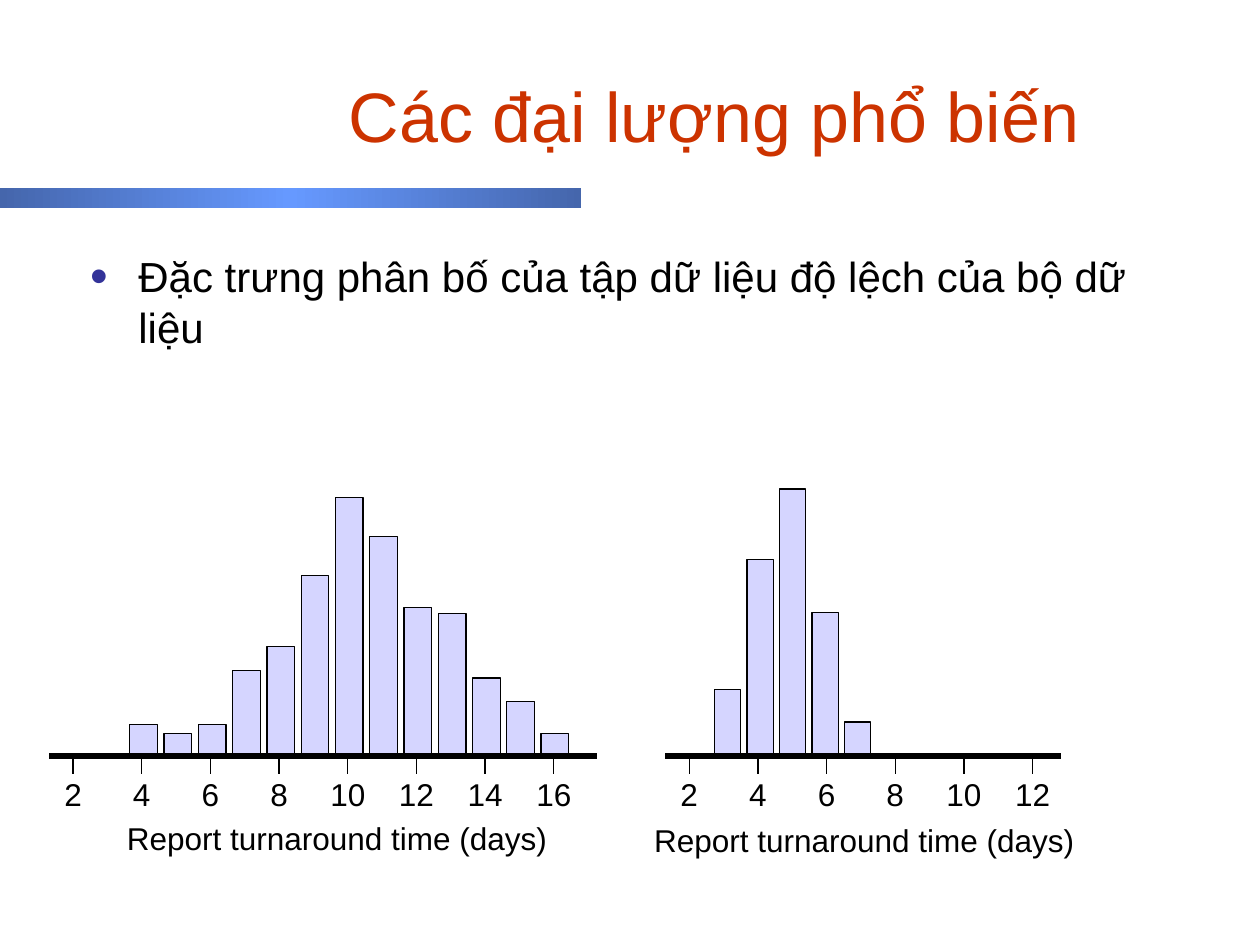
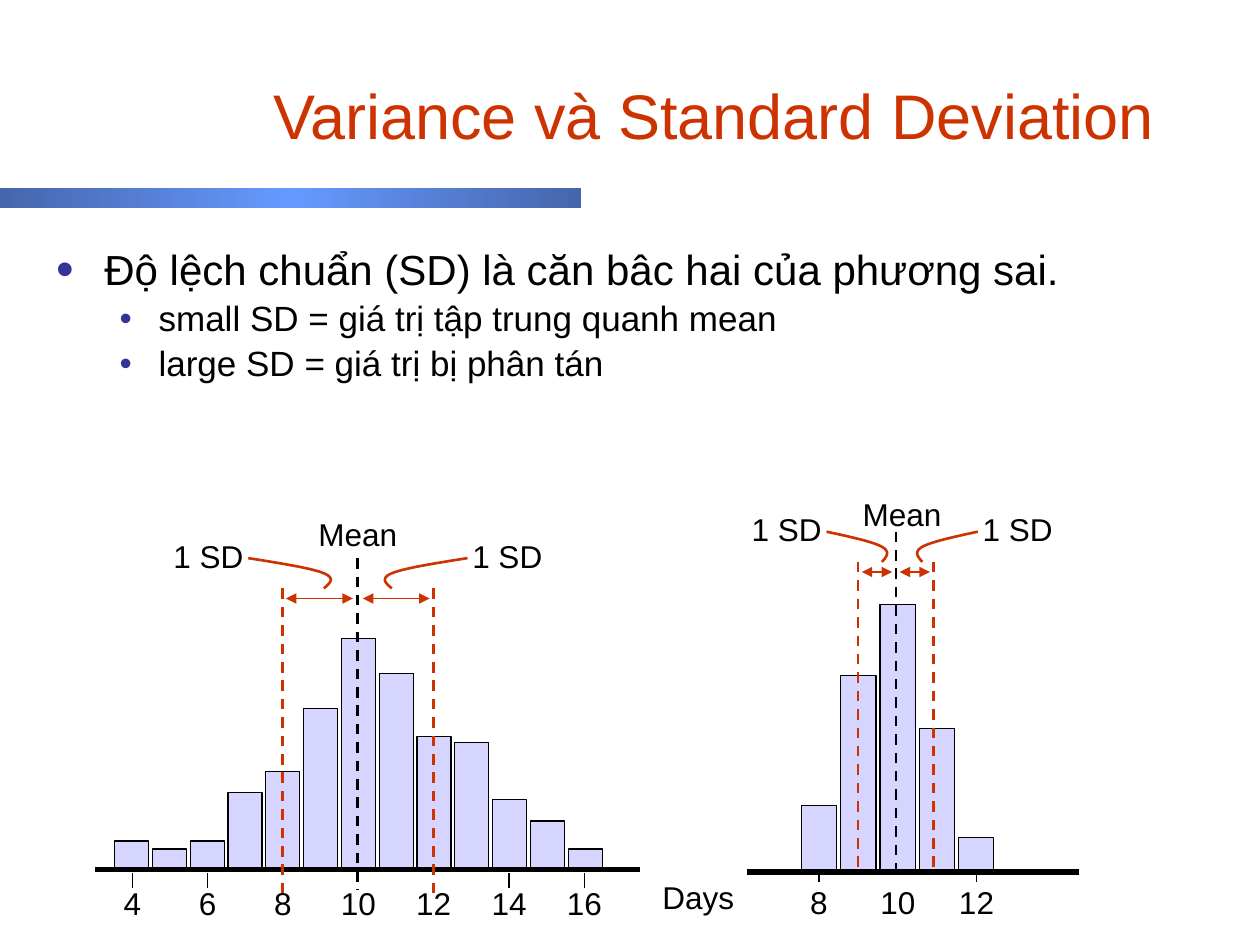
from copy import deepcopy
from dataclasses import dataclass

from lxml import etree
from pptx import Presentation
from pptx.dml.color import RGBColor
from pptx.enum import dml, shapes, text
from pptx.oxml import ns
from pptx.util import Inches, Pt


@dataclass(frozen=True)
class Theme:
    font: str = "Arial"
    title: str = "CC3300"
    ink: str = "000000"
    bar: str = "D5D5FF"
    bullet: str = "333399"
    band_edge: str = "4566AC"
    band_centre: str = "6699FF"
    body_size: int = 24
    sub_size: int = 20
    label_size: int = 18
    thin: float = 0.75
    medium: float = 1.5
    thick: float = 3


THEME = Theme()
ALIGN = text.PP_ALIGN
BROAD = [24, 17, 24, 67, 86, 142, 204, 173, 117, 112, 61, 42, 17]
NARROW = [52, 155, 211, 113, 26]


def rgb(value):
    return RGBColor.from_string(value)


def add_xml(parent, tag, **attributes):
    return etree.SubElement(parent, ns.qn(tag), **attributes)


def style(paragraph, size, color=THEME.ink, align=ALIGN.CENTER):
    paragraph.alignment = align
    paragraph.font.name = THEME.font
    paragraph.font.size = Pt(size)
    paragraph.font.color.rgb = rgb(color)


def add_label(slide, box, words, size=THEME.label_size, color=THEME.ink,
              align=ALIGN.CENTER, anchor=text.MSO_ANCHOR.TOP):
    frame = slide.shapes.add_textbox(*map(Inches, box)).text_frame
    frame.word_wrap = True
    frame.vertical_anchor = anchor
    frame.text = words
    style(frame.paragraphs[0], size, color, align)


def add_line(slide, start, end, color=THEME.ink, width=THEME.thin, dashed=False, arrows=False):
    connector = slide.shapes.add_connector(
        shapes.MSO_CONNECTOR.STRAIGHT, *map(Inches, (*start, *end)))
    connector.line.color.rgb = rgb(color)
    connector.line.width = Pt(width)
    if dashed:
        connector.line.dash_style = dml.MSO_LINE.DASH
    properties = connector._element.spPr
    if arrows:
        for tag in ("a:headEnd", "a:tailEnd"):
            add_xml(properties.get_or_add_ln(), tag, type="triangle")
    add_xml(properties, "a:effectLst")


def add_rect(slide, box):
    rect = slide.shapes.add_shape(shapes.MSO_SHAPE.RECTANGLE, *map(Inches, box))
    rect.shadow.inherit = False
    return rect


def draw_header(slide, title, size):
    band = add_rect(slide, (0, 1.49, 4.61, 0.16))
    band.line.fill.background()
    band.fill.gradient()
    band.fill.gradient_angle = 0
    first, last = band.fill.gradient_stops
    for stop, color in ((first, THEME.band_edge), (last, THEME.band_centre)):
        stop.color.rgb = rgb(color)
    first.position, last.position = 0, 0.5
    stops = band._element.spPr.find(ns.qn("a:gradFill")).find(ns.qn("a:gsLst"))
    closing = deepcopy(stops[0])
    closing.set("pos", "100000")
    stops.append(closing)
    add_label(slide, (1.53, 0.28, 8.27, 1.25), title, size, THEME.title,
              anchor=text.MSO_ANCHOR.MIDDLE)


def draw_bullets(slide, box, points, spacing):
    frame = slide.shapes.add_textbox(*map(Inches, box)).text_frame
    frame.word_wrap = True
    for index, (level, words) in enumerate(points):
        point = frame.add_paragraph() if index else frame.paragraphs[0]
        point.text = words
        point.level = level
        size = THEME.sub_size if level else THEME.body_size
        style(point, size, align=ALIGN.LEFT)
        point.line_spacing = spacing
        point.space_before = Pt(size * 0.2)
        margin, hang = (0.81, 0.31) if level else (0.38, 0.38)
        properties = point._p.get_or_add_pPr()
        properties.set("marL", str(Inches(margin)))
        properties.set("indent", str(-Inches(hang)))
        add_xml(add_xml(properties, "a:buClr"), "a:srgbClr", val=THEME.bullet)
        if not level:
            add_xml(properties, "a:buSzPct", val="120000")
        add_xml(properties, "a:buFont", typeface=THEME.font)
        add_xml(properties, "a:buChar", char="•")


def draw_histogram(slide, box, profile, first_bar, bar_step, bar_width):
    left, top, width, height = box
    base = top + height
    for index, value in enumerate(profile):
        bar_height = height * value / max(profile)
        bar = add_rect(slide, (left + first_bar + index * bar_step,
                               base - 0.01 - bar_height, bar_width, bar_height))
        bar.fill.solid()
        bar.fill.fore_color.rgb = rgb(THEME.bar)
        bar.line.color.rgb = rgb(THEME.ink)
        bar.line.width = Pt(THEME.thin)
    add_line(slide, (left, base), (left + width, base), width=THEME.thick)


def draw_scale(slide, box, days, first_tick, tick_step, tick_span, label_drop, unticked=()):
    left, top, _, height = box
    base = top + height
    for index, day in enumerate(days):
        x = left + first_tick + index * tick_step
        if day not in unticked:
            add_line(slide, (x, base + tick_span[0]), (x, base + tick_span[1]))
        add_label(slide, (x - 0.24, base + label_drop, 0.48, 0.4), str(day))


def bezier(start, bend_a, bend_b, end, steps=12):
    for index in range(1, steps + 1):
        t = index / steps
        weights = ((1 - t) ** 3, 3 * t * (1 - t) ** 2, 3 * t * t * (1 - t), t ** 3)
        yield tuple(sum(w * p[axis] for w, p in zip(weights, (start, bend_a, bend_b, end)))
                    for axis in (0, 1))


def draw_pointer(slide, tip, reach, rise):
    fractions = (0, -0.08, -0.16, 0, 0.16, 0.58, 1)
    nodes = [(tip[0] + reach * f, tip[1] - rise * i / 6) for i, f in enumerate(fractions)]
    points = [*bezier(*nodes[:4]), *bezier(*nodes[3:])]
    builder = slide.shapes.build_freeform(*map(Inches, tip))
    builder.add_line_segments([tuple(map(Inches, p)) for p in points], close=False)
    pointer = builder.convert_to_shape()
    pointer.shadow.inherit = False
    pointer.fill.background()
    pointer.line.color.rgb = rgb(THEME.title)
    pointer.line.width = Pt(THEME.medium)


def draw_deviation(slide, box, mean, deviation, arrow, pointer_centre, pointer, mean_rise):
    left, top, _, height = box
    x, base = left + mean, top + height
    centre = left + pointer_centre
    shoulder = top + 0.24
    near, far = pointer
    add_line(slide, (x, top), (x, base + 0.1), width=THEME.medium, dashed=True)
    add_label(slide, (centre - 0.5, top - mean_rise, 1, 0.4), "Mean")
    for side, align in ((-1, ALIGN.RIGHT), (1, ALIGN.LEFT)):
        limit = x + side * deviation
        add_line(slide, (limit, shoulder), (limit, shoulder + 2.45),
                 THEME.title, THEME.medium, dashed=True)
        add_line(slide, (x + side * arrow[0], shoulder + 0.08),
                 (x + side * arrow[1], shoulder + 0.08), THEME.title, arrows=True)
        draw_pointer(slide, (centre + side * near, shoulder), side * (far - near), 0.24)
        edge = centre + side * (far - 0.06)
        add_label(slide, (edge if side > 0 else edge - 1, top - 0.22, 1, 0.4),
                  "1 SD", align=align)


def build_distribution(slide):
    draw_header(slide, "Các đại lượng phổ biến", 40)
    draw_bullets(slide, (0.62, 1.94, 8.75, 5.27),
                 [(0, "Đặc trưng phân bố của tập dữ liệu độ lệch của bộ dữ liệu")], 1.0)
    broad = (0.39, 3.96, 4.35, 2.04)
    narrow = (5.28, 3.89, 3.14, 2.11)
    draw_histogram(slide, broad, BROAD, 0.64, 0.272, 0.22)
    draw_histogram(slide, narrow, NARROW, 0.39, 0.258, 0.21)
    for box, last_day in ((broad, 16), (narrow, 12)):
        draw_scale(slide, box, range(2, last_day + 1, 2), 0.19, 0.545, (0.01, 0.14), 0.1)
    for box in ((0.75, 6.45, 3.85, 0.4), (5.08, 6.47, 3.56, 0.4)):
        add_label(slide, box, "Report turnaround time (days)")


def build_deviation(slide):
    draw_header(slide, "Variance và Standard Deviation", 36)
    draw_bullets(slide, (0.35, 1.93, 8.75, 1.65), [
        (0, "Độ lệch chuẩn (SD) là căn bâc hai của phương sai."),
        (1, "small SD = giá trị tập trung quanh mean"),
        (1, "large SD = giá trị bị phân tán"),
    ], 0.9)
    broad = (0.75, 5.08, 4.33, 1.82)
    narrow = (5.93, 4.81, 2.63, 2.11)
    draw_histogram(slide, broad, BROAD, 0.16, 0.3, 0.27)
    draw_histogram(slide, narrow, NARROW, 0.43, 0.312, 0.28)
    draw_scale(slide, broad, range(4, 17, 2), 0.3, 0.598, (0.03, 0.15), 0.07, (8, 10, 12))
    draw_scale(slide, narrow, range(8, 13, 2), 0.57, 0.625, (0.02, 0.08), 0.04, (10,))
    draw_deviation(slide, (0.75, 4.43, 4.33, 2.53), 2.09, 0.6, (0.04, 0.57),
                   2.09, (0.27, 0.87), 0.39)
    draw_deviation(slide, (5.93, 4.22, 2.63, 2.67), 1.18, 0.3, (0.03, 0.27),
                   1.23, (0.16, 0.6), 0.34)
    add_label(slide, (5.16, 6.92, 0.8, 0.4), "Days", align=ALIGN.LEFT)


def main():
    deck = Presentation()
    deck.slide_width, deck.slide_height = Inches(10), Inches(7.5)
    for build in (build_distribution, build_deviation):
        build(deck.slides.add_slide(deck.slide_layouts[6]))
    deck.save("out.pptx")


if __name__ == "__main__":
    main()
